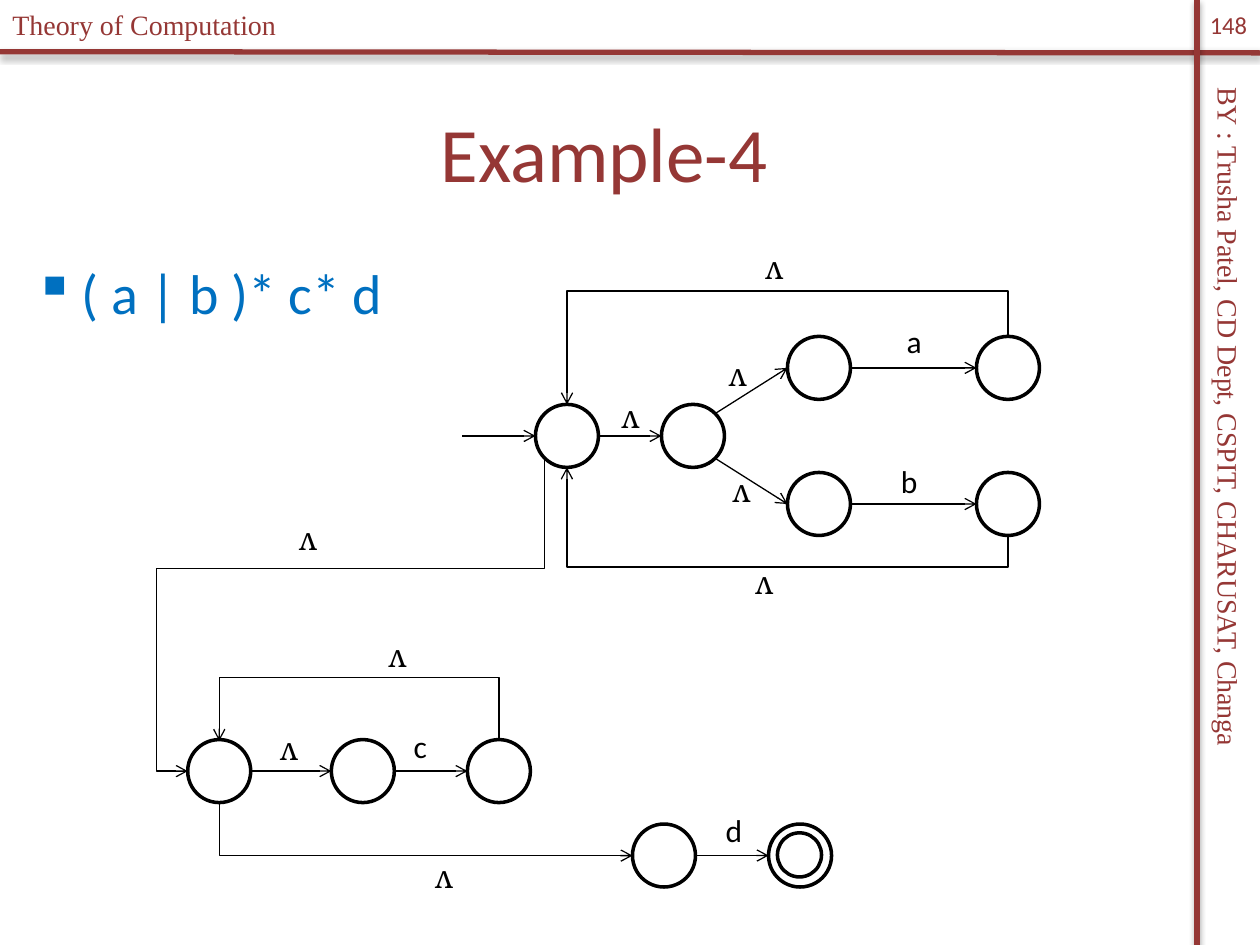
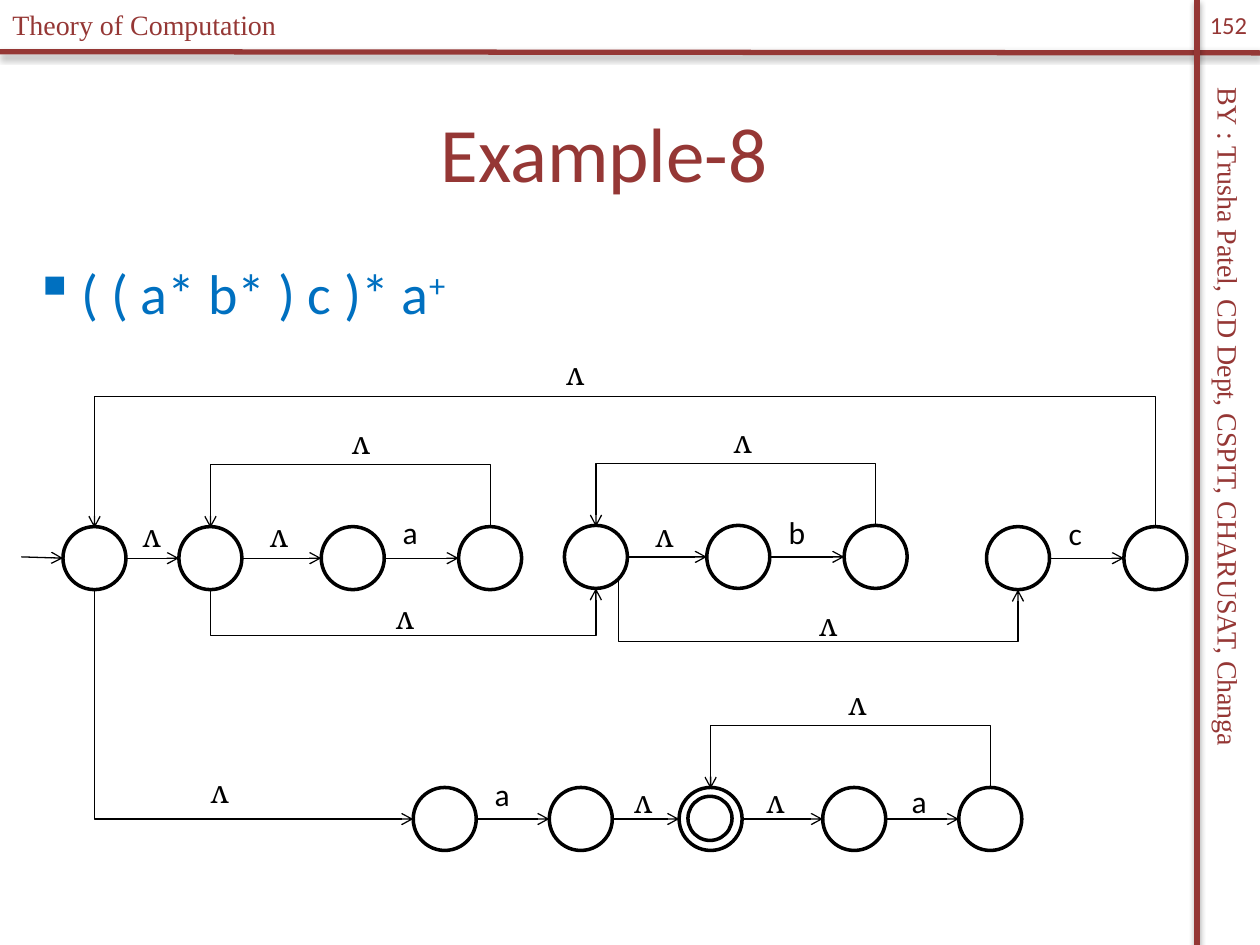
from dataclasses import dataclass

from lxml import etree
from pptx import Presentation
from pptx.dml.color import RGBColor
from pptx.enum.shapes import MSO_CONNECTOR, MSO_SHAPE
from pptx.enum.text import MSO_ANCHOR, PP_ALIGN
from pptx.oxml.ns import qn
from pptx.util import Pt

STRAIGHT, ELBOW = MSO_CONNECTOR.STRAIGHT, MSO_CONNECTOR.ELBOW
OVAL = MSO_SHAPE.OVAL
LEFT, CENTER = PP_ALIGN.LEFT, PP_ALIGN.CENTER
TOP, MIDDLE = MSO_ANCHOR.TOP, MSO_ANCHOR.MIDDLE
PX = 9144  # 100 px to the inch


@dataclass(frozen=True)
class Theme:
    maroon: RGBColor = RGBColor(0x95, 0x37, 0x35)
    blue: RGBColor = RGBColor(0x00, 0x70, 0xC0)
    black: RGBColor = RGBColor(0, 0, 0)
    white: RGBColor = RGBColor(255, 255, 255)
    sans: str = "Calibri"
    serif: str = "Times New Roman"
    symbol: str = "Cambria"
    title: int = 44
    body: int = 32
    label: int = 18
    running: int = 16
    number: int = 14


THEME = Theme()

# Connection sites of a state circle: offset from its corner, site index
STATE, RING, RING_INSET = 50, 35, 7
SITES = {
    "top": (25, 0, 0), "left": (0, 25, 2), "lower left": (7, 43, 3),
    "bottom": (25, 50, 4), "lower right": (43, 43, 5),
    "right": (50, 25, 6), "upper right": (43, 7, 7),
}

# states: left, top.  steps: straight arrows into the left of the target.
# elbows: source, side, target, side, then the y and x where the arrow turns.
# labels: text, left, top.
SLIDES = [
    dict(
        title="Example-4", number="148", expression="( a | b )* c* d", power="",
        states={
            "start": (425, 321), "fork": (525, 321),
            "a from": (625, 267), "a to": (775, 267),
            "b from": (625, 375), "b to": (775, 375),
            "c loop": (149, 587), "c from": (263, 587), "c to": (371, 587),
            "d from": (502, 654), "d to": (610, 654),
        },
        final="d to",
        entry=(367, 346, "start"),
        steps=[
            ("start", "right", "fork"), ("fork", "upper right", "a from"),
            ("fork", "lower right", "b from"), ("a from", "right", "a to"),
            ("b from", "right", "b to"), ("c loop", "right", "c from"),
            ("c from", "right", "c to"), ("d from", "right", "d to"),
        ],
        elbows=[
            ("a to", "top", "start", "top", 231),
            ("b to", "bottom", "start", "bottom", 450),
            ("c to", "top", "c loop", "top", 537),
            ("start", "lower left", "c loop", "left", 451, 124),
            ("c loop", "bottom", "d from", "left"),
        ],
        labels=[
            ("a", 709, 251), ("b", 705, 362), ("c", 317, 572), ("d", 566, 639),
            ("ʌ", 569, 277), ("ʌ", 572, 369), ("ʌ", 598, 192), ("ʌ", 590, 442),
            ("ʌ", 484, 310), ("ʌ", 299, 500), ("ʌ", 213, 574), ("ʌ", 228, 407),
            ("ʌ", 336, 675),
        ],
    ),
    dict(
        title="Example-8", number="152", expression="( ( a* b* ) c )* a", power="+",
        states={
            "start": (50, 418),
            "a loop": (142, 418), "a from": (255, 418), "a to": (364, 418),
            "b loop": (448, 417), "b from": (561, 417), "b to": (670, 417),
            "c from": (783, 418), "c to": (892, 418),
            "first from": (328, 625), "first to": (436, 625), "accept": (539, 625),
            "more from": (653, 625), "more to": (761, 625),
        },
        final="accept",
        entry=(17, 442, "start"),
        steps=[
            ("start", "right", "a loop"), ("a loop", "right", "a from"),
            ("a from", "right", "a to"), ("b loop", "right", "b from"),
            ("b from", "right", "b to"), ("c from", "right", "c to"),
            ("first from", "right", "first to"), ("first to", "right", "accept"),
            ("accept", "right", "more from"), ("more from", "right", "more to"),
        ],
        elbows=[
            ("a to", "top", "a loop", "top", 368),
            ("b to", "top", "b loop", "top", 367),
            ("c to", "top", "start", "top", 313),
            ("more to", "top", "accept", "top", 575),
            ("a loop", "bottom", "b loop", "bottom", 505),
            ("b loop", "lower right", "c from", "bottom", 509),
            ("start", "bottom", "first from", "left"),
        ],
        labels=[
            ("a", 309, 402), ("b", 616, 402), ("c", 837, 403), ("a", 382, 610),
            ("a", 713, 616), ("ʌ", 270, 331), ("ʌ", 205, 405), ("ʌ", 573, 330),
            ("ʌ", 511, 405), ("ʌ", 305, 470), ("ʌ", 641, 475), ("ʌ", 104, 405),
            ("ʌ", 440, 276), ("ʌ", 664, 538), ("ʌ", 494, 616), ("ʌ", 599, 616),
            ("ʌ", 158, 608),
        ],
    ),
]


def write(page, place, text, size, font, colour, align=LEFT, anchor=TOP):
    """Add a one-paragraph text box and return it."""
    box = page.shapes.add_textbox(*(n * PX for n in place))
    frame = box.text_frame
    frame.word_wrap = True
    frame.vertical_anchor = anchor
    frame.margin_left = frame.margin_right = (0 if align == CENTER else 10) * PX
    para = frame.paragraphs[0]
    para.add_run().text = text
    para.alignment = align
    para.font.size, para.font.name = Pt(size), font
    para.font.color.rgb = colour
    return box


def rule(page, kind, ends, colour, width, arrow=False):
    """Add a connector without a theme shadow; return it and its effect list."""
    line = page.shapes.add_connector(kind, *(n * PX for n in ends))
    line.line.color.rgb, line.line.width = colour, Pt(width)
    properties = line._element.spPr
    if arrow:
        etree.SubElement(properties.find(qn("a:ln")), qn("a:tailEnd"), type="arrow")
    return line, etree.SubElement(properties, qn("a:effectLst"))


deck = Presentation()
deck.slide_width, deck.slide_height = 1000 * PX, 750 * PX

for slide in SLIDES:
    page = deck.slides.add_slide(deck.slide_layouts[6])

    # Frame lines with their soft shadow
    for ends in ((0, 41, 1000, 42), (950, 0, 950, 750)):
        line, effects = rule(page, STRAIGHT, ends, THEME.maroon, 3)
        shadow = etree.SubElement(effects, qn("a:outerShdw"), blurRad="40000",
                                  dist="23000", dir="5400000", rotWithShape="0")
        tint = etree.SubElement(shadow, qn("a:srgbClr"), val="000000")
        etree.SubElement(tint, qn("a:alpha"), val="35000")

    # Running texts, page number and title
    author = write(page, (654, 362, 642, 37),
                   "BY : Trusha Patel, CD Dept, CSPIT, CHARUSAT, Changa",
                   THEME.running, THEME.serif, THEME.maroon)
    author.rotation = 90
    write(page, (0, 1, 329, 37), "Theory of Computation",
          THEME.running, THEME.serif, THEME.maroon)
    write(page, (950, 0, 50, 40), slide["number"],
          THEME.number, THEME.sans, THEME.maroon, CENTER, MIDDLE)
    write(page, (17, 58, 925, 125), slide["title"],
          THEME.title, THEME.sans, THEME.maroon, CENTER, MIDDLE)

    # Regular expression
    body = write(page, (17, 200, 925, 525), slide["expression"],
                 THEME.body, THEME.sans, THEME.blue)
    para = body.text_frame.paragraphs[0]
    bullet = para._p.get_or_add_pPr()
    bullet.set("marL", str(38 * PX))
    bullet.set("indent", str(-38 * PX))
    mark = etree.Element(qn("a:buChar"), char="▪")
    bullet.find(qn("a:defRPr")).addprevious(mark)
    if slide["power"]:
        span = para.add_run()
        span.text = slide["power"]
        span._r.get_or_add_rPr().set("baseline", "30000")

    # States, the final one with an inner ring
    states = slide["states"]
    final_left, final_top = states[slide["final"]]
    circles = [(left, top, STATE) for left, top in states.values()]
    circles.append((final_left + RING_INSET, final_top + RING_INSET, RING))
    drawn = []
    for left, top, size in circles:
        circle = page.shapes.add_shape(OVAL, left * PX, top * PX, size * PX, size * PX)
        circle.shadow.inherit = False
        circle.fill.solid()
        circle.fill.fore_color.rgb = THEME.white
        circle.line.color.rgb, circle.line.width = THEME.black, Pt(2)
        drawn.append(circle)
    shape_ids = {name: circle.shape_id for name, circle in zip(states, drawn)}

    # Arrow into the start state
    x, y, target = slide["entry"]
    left, top = states[target]
    rule(page, STRAIGHT, (x, y, left, top + STATE // 2), THEME.black, 0.75, True)

    # Transitions, glued to the states
    steps = [(source, side, target, "left") for source, side, target in slide["steps"]]
    for source, out, target, into, *turns in steps + slide["elbows"]:
        ends = [states[name][axis] + SITES[side][axis]
                for name, side in ((source, out), (target, into)) for axis in (0, 1)]
        straight = (source, out, target, into) in steps
        line, _ = rule(page, STRAIGHT if straight else ELBOW, ends, THEME.black, 0.75, True)

        if not straight:
            # An elbow that leaves vertically is the preset turned by 90 degrees
            x1, y1, x2, y2 = ends
            across, down = x2 - x1, (y2 - y1) or 1
            line.width, line.height = abs(down) * PX, abs(across) * PX
            line.left = (x1 + x2 - abs(down)) * PX // 2
            line.top = (2 * y1 + down - abs(across)) * PX // 2
            frame = line._element.spPr.find(qn("a:xfrm"))
            frame.set("rot", "5400000")
            frame.set("flipH", str(int(down < 0)))
            frame.set("flipV", str(int(across > 0)))
            preset = line._element.spPr.find(qn("a:prstGeom"))
            preset.set("prst", f"bentConnector{len(turns) + 2}")
            guides = preset.find(qn("a:avLst"))
            for index, (turn, begin, length) in enumerate(
                    zip(turns, (y1, x1), (down, across)), 1):
                ratio = round((turn - begin) / length * 100000)
                etree.SubElement(guides, qn("a:gd"), name=f"adj{index}", fmla=f"val {ratio}")

        glue = line._element.find(qn("p:nvCxnSpPr")).find(qn("p:cNvCxnSpPr"))
        for tag, name, side in (("a:stCxn", source, out), ("a:endCxn", target, into)):
            etree.SubElement(glue, qn(tag), id=str(shape_ids[name]), idx=str(SITES[side][2]))

    # Transition labels
    for text, left, top in slide["labels"]:
        font = THEME.symbol if text == "ʌ" else THEME.sans
        write(page, (left, top, 33, 40), text, THEME.label, font, THEME.black, CENTER)

deck.save("out.pptx")
